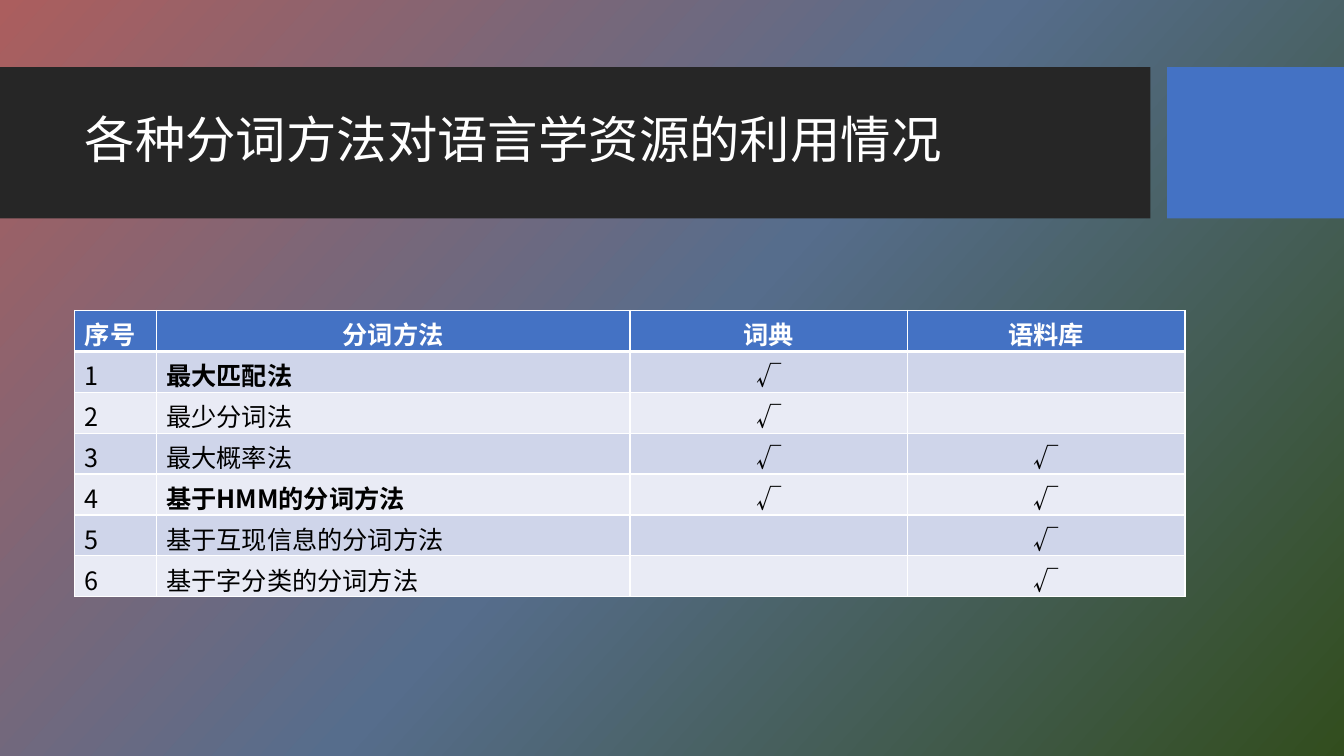
"""Build the slide on how segmentation methods use linguistic resources."""
from copy import deepcopy
from lxml import etree
from pptx import Presentation
from pptx import util as u
from pptx.dml.color import RGBColor
from pptx.enum import shapes, text
from pptx.oxml import ns

FONT = "Noto Sans CJK SC"


def rgb(value):
    return RGBColor.from_string(value)


def style(r, size, color, bold=False):
    r.font.size, r.font.bold, r.font.name = u.Pt(size), bold, FONT
    r.font.color.rgb = rgb(color)
    etree.SubElement(r.font._element, ns.qn("a:ea"), typeface=FONT)


prs = Presentation()
prs.slide_width, prs.slide_height = u.Pt(960), u.Pt(540)
s = prs.slides.add_slide(prs.slide_layouts[6])

bg = s.background.fill
bg.gradient()
bg.gradient_angle = 318
stop_list = s.element.find(".//" + ns.qn("a:gsLst"))
stop_list.append(deepcopy(stop_list[0]))
gradient = [(0, "AB5E5E"), (0.5, "566D8C"), (1, "324D1E")]
for stop, (position, color) in zip(bg.gradient_stops, gradient):
    stop.color.rgb = rgb(color)
    stop.position = position

for left, width, color in [(0, 821.8, "262626"), (833.6, 126.4, "4472C4")]:
    sp = s.shapes.add_shape(shapes.MSO_SHAPE.RECTANGLE, u.Pt(left), u.Pt(48), u.Pt(width), u.Pt(108))
    sp.shadow.inherit = False
    sp.fill.solid()
    sp.fill.fore_color.rgb = rgb(color)
    sp.line.fill.background()

title = s.shapes.add_textbox(u.Pt(53.4), u.Pt(59), u.Pt(756.7), u.Pt(85))
tf = title.text_frame
tf.word_wrap = True
tf.vertical_anchor = text.MSO_ANCHOR.MIDDLE
tf.text = "各种分词方法对语言学资源的利用情况"
p = tf.paragraphs[0]
p.line_spacing = 0.9
style(p.runs[0], 36, "FFFFFF")

rows = [
    ("序号", "分词方法", "词典", "语料库"),
    ("1", "最大匹配法", "√", ""),
    ("2", "最少分词法", "√", ""),
    ("3", "最大概率法", "√", "√"),
    ("4", "基于HMM的分词方法", "√", "√"),
    ("5", "基于互现信息的分词方法", "", "√"),
    ("6", "基于字分类的分词方法", "", "√"),
]
bold_methods = {"最大匹配法", "基于HMM的分词方法"}
col_widths = [58.2, 338.4, 198.2, 198.2]
row_height = 29.2
table = s.shapes.add_table(len(rows), len(col_widths), u.Pt(53.4), u.Pt(221.8),
                           u.Pt(sum(col_widths)), u.Pt(row_height * len(rows))).table
for column, width in zip(table.columns, col_widths):
    column.width = u.Pt(width)

for i, values in enumerate(rows):
    table.rows[i].height = u.Pt(row_height)
    header = i == 0
    fill = "4472C4" if header else ("E9EBF5", "CFD5EA")[i % 2]
    for j, value in enumerate(values):
        cell = table.cell(i, j)
        cell.fill.solid()
        cell.fill.fore_color.rgb = rgb(fill)
        cell.text_frame.text = value
        p = cell.text_frame.paragraphs[0]
        p.font.size = u.Pt(18)
        if j > 1 or (header and j == 1):
            p.alignment = text.PP_ALIGN.CENTER
        for r in p.runs:
            style(r, 18, "FFFFFF" if header else "000000", header or value in bold_methods)
        tcPr = cell._tc.get_or_add_tcPr()
        for k, side in enumerate("LRTB"):
            thick = (header and side == "B") or (i == 1 and side == "T")
            ln = etree.Element(ns.qn(f"a:ln{side}"), w=str(u.Pt(3 if thick else 1)))
            solid = etree.SubElement(ln, ns.qn("a:solidFill"))
            etree.SubElement(solid, ns.qn("a:srgbClr"), val="FFFFFF")
            tcPr.insert(k, ln)

prs.save("out.pptx")
